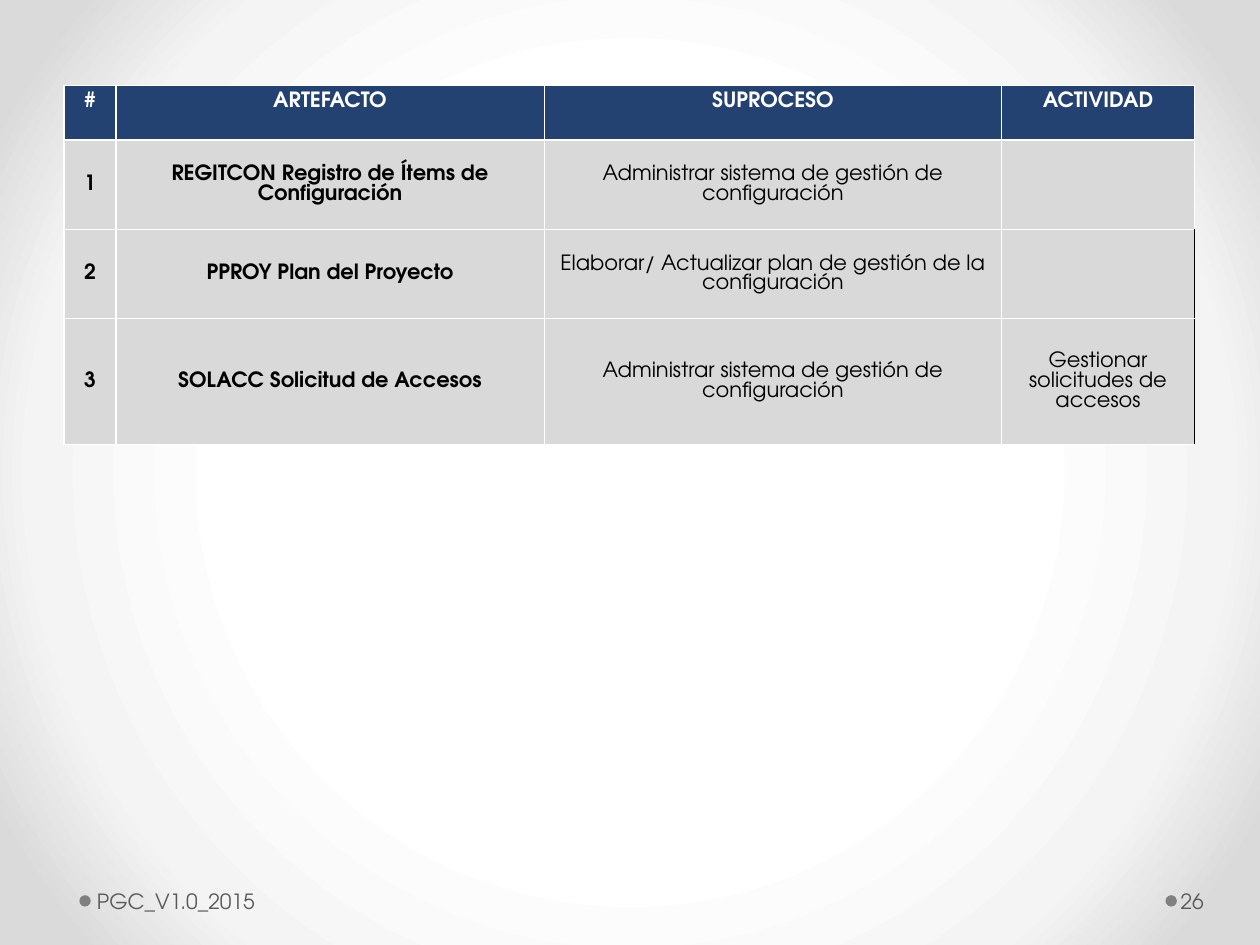
from dataclasses import dataclass

from lxml import etree
from pptx import Presentation
from pptx.dml.color import RGBColor
from pptx.enum.shapes import MSO_SHAPE
from pptx.enum.text import MSO_ANCHOR, PP_ALIGN
from pptx.oxml import parse_xml
from pptx.oxml.ns import qn
from pptx.util import Inches, Pt

OVAL = MSO_SHAPE.OVAL
MIDDLE, TOP = MSO_ANCHOR.MIDDLE, MSO_ANCHOR.TOP
CENTER, LEFT = PP_ALIGN.CENTER, PP_ALIGN.LEFT
DRAWING = "http://schemas.openxmlformats.org/drawingml/2006/main"
BLANK_LAYOUT = 6


@dataclass(frozen=True)
class Theme:
    """Colours, font and sizes of the deck."""

    font: str = "TeX Gyre Adventor"
    size: int = 12
    before: float = 2.4
    white: str = "FFFFFF"
    black: str = "000000"
    header: str = "234271"
    body: str = "D9D9D9"
    footer: str = "595959"
    dot: str = "808080"
    glow: tuple = ((50, "FFFFFF"), (76, "F4F4F4"), (92, "DADADA"))


THEME = Theme()
COLUMNS = (0.41, 3.4, 3.63, 1.53)
ROWS = (0.43, 0.71, 0.71, 1)
ARTEFACTS = (
    ("#", "ARTEFACTO", "SUPROCESO", "ACTIVIDAD"),
    ("1", "REGITCON Registro de Ítems de Configuración",
     "Administrar sistema de gestión de configuración", ""),
    ("2", "PPROY Plan del Proyecto",
     "Elaborar/ Actualizar plan de gestión de la configuración", ""),
    ("3", "SOLACC Solicitud de Accesos",
     "Administrar sistema de gestión de configuración",
     "Gestionar solicitudes de accesos"),
)


def paint_background(page):
    """Fill the page with a round glow from its centre."""
    page.background.fill.gradient()
    gradient = next(page.element.iter(qn("a:gradFill")))
    stops = "".join(
        f'<a:gs pos="{share * 1000}"><a:srgbClr val="{color}"/></a:gs>'
        for share, color in THEME.glow)
    glow = parse_xml(
        f'<a:gradFill xmlns:a="{DRAWING}" rotWithShape="1">'
        f'<a:gsLst>{stops}</a:gsLst><a:path path="circle">'
        '<a:fillToRect l="50000" t="50000" r="50000" b="50000"/>'
        '</a:path></a:gradFill>')
    gradient.getparent().replace(gradient, glow)


def write(frame, text, color, bold=False, align=LEFT, before=0):
    """Write one styled run in the first paragraph of a frame."""
    para = frame.paragraphs[0]
    para.alignment = align
    para.space_before = Pt(before)
    span = para.add_run()
    span.text = text
    span.font.name = THEME.font
    span.font.size = Pt(THEME.size)
    span.font.bold = bold
    span.font.color.rgb = RGBColor.from_string(color)


def add_border(cell, side, color, width):
    """Draw one side of a cell."""
    properties = cell._tc.get_or_add_tcPr()
    line = etree.Element(qn(f"a:ln{side}"), w=str(Pt(width)))
    fill = etree.SubElement(line, qn("a:solidFill"))
    etree.SubElement(fill, qn("a:srgbClr"), val=color)
    properties.insert("LRTB".index(side), line)


def fill_cell(cell, text, row, column):
    """Style a cell by its place in the table and write its text."""
    is_header = row == 0
    cell.fill.solid()
    cell.fill.fore_color.rgb = RGBColor.from_string(
        THEME.header if is_header else THEME.body)
    cell.vertical_anchor = TOP if is_header else MIDDLE
    open_edge = row > 1 and column == len(COLUMNS) - 1
    for side in "LRTB":
        if side == "R" and open_edge:
            add_border(cell, side, THEME.black, 0.5)
        else:
            add_border(cell, side, THEME.white, 1)
    if text:
        write(cell.text_frame, text, THEME.white if is_header else THEME.black,
              is_header or column < 2, CENTER, THEME.before)


def add_artefact_table(page, left, top):
    """Add the table of artefacts."""
    table = page.shapes.add_table(
        len(ROWS), len(COLUMNS), Inches(left), Inches(top),
        Inches(sum(COLUMNS)), Inches(sum(ROWS))).table
    for column, width in zip(table.columns, COLUMNS):
        column.width = Inches(width)
    for row, height in zip(table.rows, ROWS):
        row.height = Inches(height)
    for row, texts in enumerate(ARTEFACTS):
        for column, text in enumerate(texts):
            fill_cell(table.cell(row, column), text, row, column)


def add_footer(page, text, left, width, margins):
    """Add a footer text with a dot on its left."""
    top, height, size = 6.95, 0.4, 0.09
    dot = page.shapes.add_shape(
        OVAL, Inches(left - size), Inches(top + (height - size) / 2),
        Inches(size), Inches(size))
    dot.shadow.inherit = False
    dot.fill.solid()
    dot.fill.fore_color.rgb = RGBColor.from_string(THEME.dot)
    dot.line.fill.background()
    box = page.shapes.add_textbox(
        Inches(left), Inches(top), Inches(width), Inches(height))
    frame = box.text_frame
    frame.word_wrap = True
    frame.vertical_anchor = MIDDLE
    frame.margin_left, frame.margin_right = map(Inches, margins)
    write(frame, text, THEME.footer)


def main():
    """Build the deck."""
    deck = Presentation()
    deck.slide_width, deck.slide_height = Inches(10), Inches(7.5)
    page = deck.slides.add_slide(deck.slide_layouts[BLANK_LAYOUT])
    paint_background(page)
    add_artefact_table(page, 0.51, 0.68)
    add_footer(page, "PGC_V1.0_2015", 0.72, 3.96, (0.05, 0.1))
    add_footer(page, "26", 9.34, 0.61, (0.03, 0.05))
    deck.save("out.pptx")


if __name__ == "__main__":
    main()
